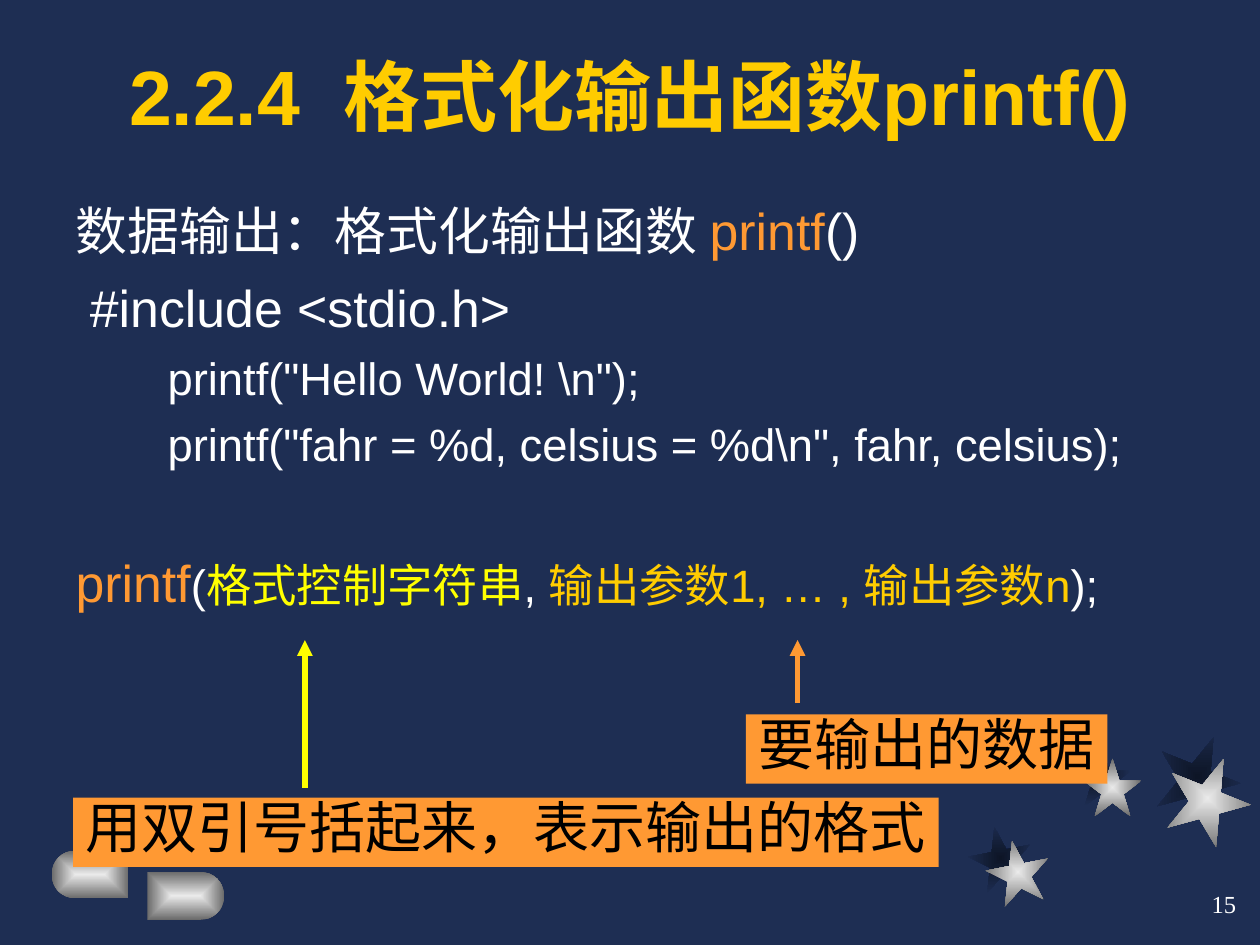
from dataclasses import dataclass
from math import cos, pi, sin

from lxml import etree
from pptx import Presentation
from pptx.dml.color import RGBColor
from pptx.enum import shapes as kinds, text as txt
from pptx.oxml import ns
from pptx.util import Inches, Pt


@dataclass(frozen=True)
class Theme:
    back: str = "1E2E53"
    deep: str = "0D1526"
    light: str = "EAEAEA"
    grey: str = "6B6B6B"
    gold: str = "FFCC00"
    orange: str = "FF9933"
    yellow: str = "FFFF00"
    white: str = "FFFFFF"
    black: str = "000000"
    latin: str = "Arial"
    serif: str = "Times New Roman"
    asian: str = "Noto Sans CJK SC"
    title: float = 44
    label: float = 32
    head: float = 29.6
    code: float = 25.9
    small: float = 14


T = Theme()
ALIGN = txt.PP_ALIGN


def rgb(code):
    return RGBColor.from_string(code)


def sub(node, tag, **attrs):
    return etree.SubElement(node, ns.qn(tag), **attrs)


def place(shape, left, top, width, height):
    shape.left, shape.top = Inches(left), Inches(top)
    shape.width, shape.height = Inches(width), Inches(height)


def write(para, words, size=T.code, color=T.white, font=T.latin, bold=False):
    run = para.add_run()
    run.text = words
    face = run.font
    face.name, face.size, face.bold = font, Pt(size), bold
    face.color.rgb = rgb(color)
    sub(run._r.get_or_add_rPr(), "a:ea", typeface=T.asian)


def glow(shape, inner, outer):
    """Fill from the centre outwards, with no line or shadow."""
    shape.shadow.inherit = False
    shape.line.fill.background()
    shape.fill.gradient()
    grad = shape._element.spPr.find(ns.qn("a:gradFill"))
    for child in list(grad):
        grad.remove(child)
    stops = sub(grad, "a:gsLst")
    for pos, color in (("0", inner), ("100000", outer)):
        sub(sub(stops, "a:gs", pos=pos), "a:srgbClr", val=color)
    way = sub(grad, "a:path", path="rect")
    sub(way, "a:fillToRect", **dict.fromkeys("ltrb", "50000"))


def add_star(slide, left, top, size, turn, inner, outer):
    star = slide.shapes.add_shape(
        kinds.MSO_SHAPE.STAR_5_POINT,
        Inches(left), Inches(top), Inches(size), Inches(size))
    star.rotation = turn
    glow(star, inner, outer)


def add_pill(slide, flat, top, side):
    """Draw a bar, square at x = flat and round towards side (-1 or 1)."""
    length, rad, steps = 0.61, 0.19, 16
    hub = flat + side * (length - rad)
    arc = [(hub + side * rad * sin(pi * i / steps),
            top + rad - rad * cos(pi * i / steps)) for i in range(steps + 1)]
    path = slide.shapes.build_freeform(
        Inches(flat), Inches(top), scale=1.0)
    path.add_line_segments(
        [(Inches(x), Inches(y)) for x, y in arc + [(flat, top + 2 * rad)]])
    glow(path.convert_to_shape(), T.light, T.grey)


def add_label(slide, words, left, top, width):
    box = slide.shapes.add_shape(
        kinds.MSO_SHAPE.RECTANGLE,
        Inches(left), Inches(top), Inches(width), Inches(0.55))
    box.shadow.inherit = False
    box.fill.solid()
    box.fill.fore_color.rgb = rgb(T.orange)
    box.line.fill.background()
    frame = box.text_frame
    frame.word_wrap = False
    frame.auto_size = txt.MSO_AUTO_SIZE.NONE
    frame.margin_left = frame.margin_right = Inches(0.02)
    frame.vertical_anchor = txt.MSO_ANCHOR.TOP
    para = frame.paragraphs[0]
    para.alignment = ALIGN.CENTER
    para.line_spacing, para.space_before = 0.84, Pt(8)
    write(para, words, size=T.label, color=T.black, font=T.asian)


def add_arrow(slide, x, start, end, color):
    arrow = slide.shapes.add_connector(
        kinds.MSO_CONNECTOR.STRAIGHT,
        Inches(x), Inches(start), Inches(x), Inches(end))
    arrow.line.color.rgb = rgb(color)
    arrow.line.width = Pt(3)
    sub(arrow.line._get_or_add_ln(), "a:tailEnd", type="triangle")
    sub(arrow._element.spPr, "a:effectLst")


def fill_title(shape):
    place(shape, 0.75, 0.25, 8.5, 0.92)
    frame = shape.text_frame
    frame.auto_size = txt.MSO_AUTO_SIZE.NONE
    frame.vertical_anchor = txt.MSO_ANCHOR.BOTTOM
    para = frame.paragraphs[0]
    para.alignment = ALIGN.CENTER
    write(para, "2.2.4  格式化输出函数printf()",
          size=T.title, color=T.gold, bold=True)


def add_row(frame, runs, level=0, gap=7, lines=1.0):
    """Add a paragraph without a bullet; runs are (words, size, color)."""
    first = frame.paragraphs[0]
    para = frame.add_paragraph() if first.runs else first
    para.level = level
    para.alignment = ALIGN.JUSTIFY
    para.line_spacing, para.space_before = lines, Pt(gap)
    left, hang = ((0.52, -0.52), (1.04, -0.31))[level]
    props = para._p.get_or_add_pPr()
    props.set("marL", str(Inches(left)))
    props.set("indent", str(Inches(hang)))
    sub(props, "a:buNone")
    for words, size, color in runs:
        write(para, words, size=size, color=color)


def fill_body(shape):
    place(shape, 0.5, 1.58, 9.17, 3.83)
    frame = shape.text_frame
    frame.auto_size = txt.MSO_AUTO_SIZE.NONE
    add_row(frame, [("数据输出：格式化输出函数 ", T.head, T.white),
                    ("printf", T.head, T.orange),
                    ("()", T.head, T.white)], gap=8, lines=0.9)
    add_row(frame, [(" #include <stdio.h>", T.head, T.white)], gap=8)
    for code in (r'printf("Hello World! \n");',
                 r'printf("fahr = %d, celsius = %d\n", fahr, celsius);'):
        add_row(frame, [(code, T.code, T.white)], level=1)
    add_row(frame, [("printf", T.head, T.orange),
                    ("(", T.code, T.white),
                    ("格式控制字符串", T.code, T.yellow),
                    (", ", T.code, T.white),
                    ("输出参数1, … , 输出参数n", T.code, T.gold),
                    (");", T.code, T.white)], gap=45.5)


def add_number(slide, words):
    box = slide.shapes.add_textbox(
        Inches(7.83), Inches(6.92), Inches(2.08), Inches(0.5))
    frame = box.text_frame
    frame.word_wrap = True
    frame.vertical_anchor = txt.MSO_ANCHOR.MIDDLE
    para = frame.paragraphs[0]
    para.alignment = ALIGN.RIGHT
    write(para, words, size=T.small, font=T.serif)


def add_decor(slide):
    shades = ((7.69, 6.56, 0.5, 349), (8.52, 5.94, 0.46, 0),
              (9.17, 5.83, 0.67, 22))
    stars = ((7.83, 6.67, 0.5, 349), (8.6, 6.02, 0.46, 0),
             (9.25, 6, 0.67, 22))
    for spot in shades:
        add_star(slide, *spot, T.deep, T.back)
    for spot in stars:
        add_star(slide, *spot, T.light, T.grey)
    add_pill(slide, 1.02, 6.75, -1)
    add_pill(slide, 1.17, 6.92, 1)


def main():
    deck = Presentation()
    deck.slide_width, deck.slide_height = Inches(10), Inches(7.5)
    slide = deck.slides.add_slide(deck.slide_layouts[1])
    slide.background.fill.solid()
    slide.background.fill.fore_color.rgb = rgb(T.back)
    add_decor(slide)
    fill_title(slide.shapes.title)
    fill_body(slide.placeholders[1])
    add_label(slide, "用双引号括起来，表示输出的格式", 0.58, 6.33, 6.87)
    add_arrow(slide, 2.42, 6.25, 5.08, T.yellow)
    add_label(slide, "要输出的数据", 5.92, 5.67, 2.87)
    add_arrow(slide, 6.33, 5.58, 5.08, T.orange)
    add_number(slide, "15")
    deck.save("out.pptx")


if __name__ == "__main__":
    main()
